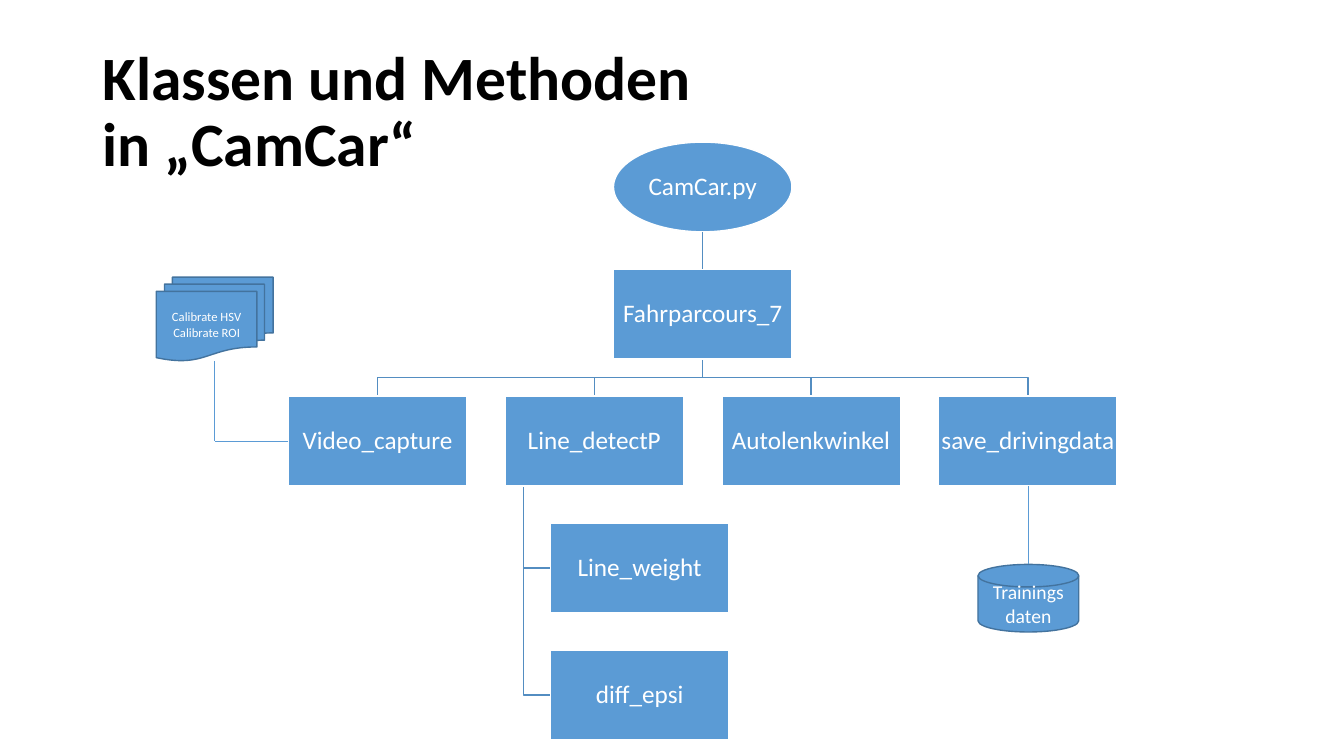
from dataclasses import dataclass

from lxml import etree
from pptx import Presentation
from pptx import util as u
from pptx.dml.color import RGBColor
from pptx.enum import shapes, text
from pptx.oxml.ns import qn

BLUE, WHITE, BLACK = "5B9BD5", "FFFFFF", "000000"
SYMBOL_EDGE, BRANCH = "43739E", "538DC1"
FONT = "Calibri"
BOX_W, BOX_H = 1.77, 0.89
CENTER, COLUMN_PITCH = 6.97, 2.15
TOP, ROW_PITCH = 1.41, 1.26
METHOD_X = 5.46 + BOX_W / 2
TRUNK_X = 5.19
CALIBRATION_X = 2.13

Preset = shapes.MSO_SHAPE


@dataclass(frozen=True)
class Symbol:
    kind: Preset
    lines: tuple[str, ...]
    left: float
    top: float
    width: float
    height: float
    size: float
    edge: str = SYMBOL_EDGE


@dataclass(frozen=True)
class Node:
    label: str
    center: float
    row: int
    kind: Preset = Preset.RECTANGLE

    @property
    def top(self) -> float:
        return TOP + self.row * ROW_PITCH

    @property
    def bottom(self) -> float:
        return self.top + BOX_H

    @property
    def middle(self) -> float:
        return self.top + BOX_H / 2

    def symbol(self) -> Symbol:
        return Symbol(self.kind, (self.label,), self.center - BOX_W / 2,
                      self.top, BOX_W, BOX_H, 18, WHITE)


PROGRAM = Node("CamCar.py", CENTER, 0, Preset.OVAL)
COURSE = Node("Fahrparcours_7", CENTER, 1)
CLASSES = [
    Node(label, CENTER + (column - 1.5) * COLUMN_PITCH, 2)
    for column, label in enumerate(
        ["Video_capture", "Line_detectP", "Autolenkwinkel", "save_drivingdata"])
]
METHODS = [
    Node(label, METHOD_X, row)
    for row, label in enumerate(["Line_weight", "diff_epsi"], start=3)
]
CALIBRATION = Symbol(Preset.FLOWCHART_MULTIDOCUMENT, ("Calibrate HSV", "Calibrate ROI"),
                     1.55, 2.75, 1.16, 0.83, 9)
TRAINING_DATA = Symbol(Preset.FLOWCHART_MAGNETIC_DISK, ("Trainingsdaten",),
                       9.7, 5.6, 1, 0.67, 14)


def paint(color_format, color: str) -> None:
    color_format.rgb = RGBColor.from_string(color)


def set_all(target, values: dict) -> None:
    for name, value in values.items():
        setattr(target, name, value)


def format_font(font, size: float, color: str, bold: bool = False) -> None:
    set_all(font, {"name": FONT, "size": u.Pt(size), "bold": bold})
    paint(font.color, color)


def format_line(line, color: str, width: float) -> None:
    line.width = u.Pt(width)
    paint(line.color, color)


def add_title(slide, lines: tuple[str, ...]) -> None:
    title = slide.shapes.title
    set_all(title, {"left": u.Inches(0.92), "top": u.Inches(0.4),
                    "width": u.Inches(11.5), "height": u.Inches(1.45)})
    set_all(title.text_frame, {"vertical_anchor": text.MSO_ANCHOR.MIDDLE,
                               "word_wrap": True,
                               "auto_size": text.MSO_AUTO_SIZE.NONE})
    paragraph = title.text_frame.paragraphs[0]
    set_all(paragraph, {"alignment": text.PP_ALIGN.LEFT, "line_spacing": 0.9})
    for index, line in enumerate(lines):
        if index:
            paragraph.add_line_break()
        run = paragraph.add_run()
        run.text = line
        format_font(run.font, 44, BLACK, bold=True)


def add_symbol(slide, symbol: Symbol):
    shape = slide.shapes.add_shape(
        symbol.kind, u.Inches(symbol.left), u.Inches(symbol.top),
        u.Inches(symbol.width), u.Inches(symbol.height))
    shape.shadow.inherit = False
    shape.fill.solid()
    paint(shape.fill.fore_color, BLUE)
    format_line(shape.line, symbol.edge, 1)
    frame = shape.text_frame
    set_all(frame, {"word_wrap": True, "vertical_anchor": text.MSO_ANCHOR.MIDDLE})
    frame.text = "\n".join(symbol.lines)
    for paragraph in frame.paragraphs:
        paragraph.alignment = text.PP_ALIGN.CENTER
        format_font(paragraph.runs[0].font, symbol.size, WHITE)
    return shape


def add_node(slide, node: Node):
    shape = add_symbol(slide, node.symbol())
    margins = ("margin_left", "margin_top", "margin_right", "margin_bottom")
    set_all(shape.text_frame, dict.fromkeys(margins, u.Inches(0.01)))
    shape.text_frame.paragraphs[0].line_spacing = 0.9
    return shape


def add_branch(slide, points: list[tuple[float, float]]) -> None:
    """Draw an open, angled line through the points."""
    start, *rest = [(u.Inches(x), u.Inches(y)) for x, y in points]
    builder = slide.shapes.build_freeform(*start)
    builder.add_line_segments(rest, close=False)
    branch = builder.convert_to_shape()
    branch.shadow.inherit = False
    branch.fill.background()
    format_line(branch.line, BRANCH, 1)


def add_link(slide, start: tuple[float, float], end: tuple[float, float],
             color: str = BLUE, width: float = 0.5):
    link = slide.shapes.add_connector(
        shapes.MSO_CONNECTOR.STRAIGHT, *[u.Inches(v) for v in (*start, *end)])
    format_line(link.line, color, width)
    etree.SubElement(link._element.spPr, qn("a:effectLst"))
    return link


def main() -> None:
    deck = Presentation()
    set_all(deck, {"slide_width": u.Inches(13.33), "slide_height": u.Inches(7.5)})
    slide = deck.slides.add_slide(deck.slide_layouts[5])
    add_title(slide, ("Klassen und Methoden ", "in „CamCar“"))

    add_symbol(slide, CALIBRATION)
    add_symbol(slide, TRAINING_DATA)

    bus_y = (COURSE.bottom + CLASSES[0].top) / 2
    for node in CLASSES:
        add_branch(slide, [(CENTER, COURSE.bottom), (CENTER, bus_y),
                           (node.center, bus_y), (node.center, node.top)])
    for node in METHODS:
        add_branch(slide, [(TRUNK_X, CLASSES[0].bottom), (TRUNK_X, node.middle),
                           (node.center - BOX_W / 2, node.middle)])

    boxes = {node.label: add_node(slide, node)
             for node in (PROGRAM, COURSE, *CLASSES, *METHODS)}

    video, saving = CLASSES[0], CLASSES[-1]
    program_link = add_link(slide, (CENTER, PROGRAM.bottom), (CENTER, COURSE.top),
                            BRANCH, 1)
    program_link.end_connect(boxes[COURSE.label], 0)
    data_link = add_link(slide, (saving.center, saving.bottom),
                         (saving.center, TRAINING_DATA.top))
    data_link.begin_connect(boxes[saving.label], 2)
    add_link(slide, (CALIBRATION_X, CALIBRATION.top + CALIBRATION.height),
             (CALIBRATION_X, video.middle))
    video_link = add_link(slide, (video.center - BOX_W / 2, video.middle),
                          (CALIBRATION_X, video.middle))
    video_link.begin_connect(boxes[video.label], 1)

    deck.save("out.pptx")


if __name__ == "__main__":
    main()
